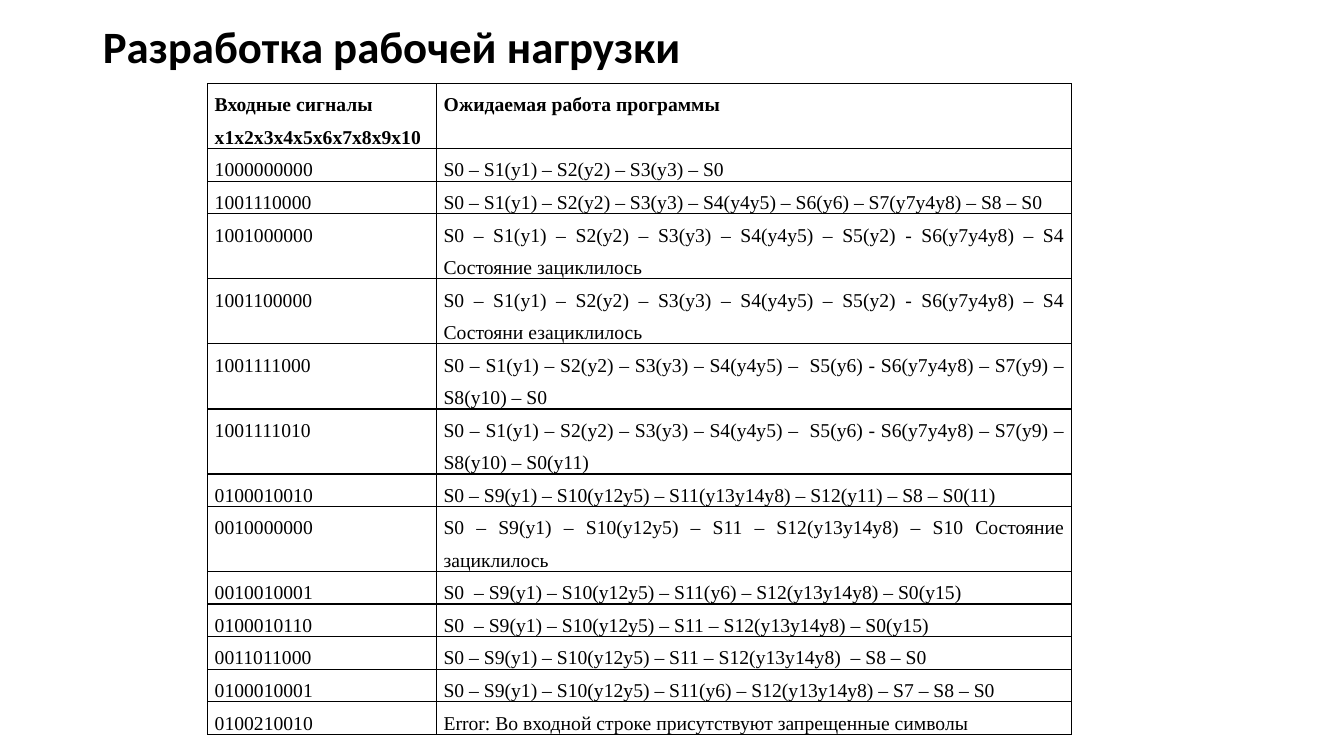
from dataclasses import dataclass

from lxml import etree
from pptx import Presentation
from pptx.dml.color import RGBColor
from pptx.enum.text import MSO_ANCHOR, PP_ALIGN
from pptx.oxml.ns import qn
from pptx.util import Inches, Pt

LEFT, JUSTIFY = PP_ALIGN.LEFT, PP_ALIGN.JUSTIFY
TOP, MIDDLE = MSO_ANCHOR.TOP, MSO_ANCHOR.MIDDLE


@dataclass(frozen=True)
class Theme:
    """Colours, fonts and type sizes of the slide."""
    ink: str = "000000"
    title_font: str = "Calibri"
    body_font: str = "Times New Roman"
    title_size: int = 32
    body_size: int = 14
    border_width: int = 1


THEME = Theme()
TITLE = "Разработка рабочей нагрузки"
COLUMN_WIDTHS = (2.27, 6.3)
LINE_HEIGHT = 0.31
HEADER = ("Входные сигналы\nx1x2x3x4x5x6x7x8x9x10", "Ожидаемая работа программы")
WORKLOAD = (
    (1, "1000000000", "S0 – S1(y1) – S2(y2) – S3(y3) – S0"),
    (1, "1001110000", "S0 – S1(y1) – S2(y2) – S3(y3) – S4(y4y5) – S6(y6) – S7(y7y4y8) – S8 – S0"),
    (2, "1001000000", "S0 – S1(y1) – S2(y2) – S3(y3) – S4(y4y5) – S5(y2) - S6(y7y4y8) – S4 "
                      "Состояние зациклилось"),
    (2, "1001100000", "S0 – S1(y1) – S2(y2) – S3(y3) – S4(y4y5) – S5(y2) - S6(y7y4y8) – S4 "
                      "Состояни езациклилось"),
    (2, "1001111000", "S0 – S1(y1) – S2(y2) – S3(y3) – S4(y4y5) –  S5(y6) - S6(y7y4y8) – S7(y9) – "
                      "S8(y10) – S0"),
    (2, "1001111010", "S0 – S1(y1) – S2(y2) – S3(y3) – S4(y4y5) –  S5(y6) - S6(y7y4y8) – S7(y9) – "
                      "S8(y10) – S0(y11)"),
    (1, "0100010010", "S0 – S9(y1) – S10(y12y5) – S11(y13y14y8) – S12(y11) – S8 – S0(11)"),
    (2, "0010000000", "S0 – S9(y1) – S10(y12y5) – S11 – S12(y13y14y8) – S10 Состояние зациклилось"),
    (1, "0010010001", "S0  – S9(y1) – S10(y12y5) – S11(y6) – S12(y13y14y8) – S0(y15)"),
    (1, "0100010110", "S0  – S9(y1) – S10(y12y5) – S11 – S12(y13y14y8) – S0(y15)"),
    (1, "0011011000", "S0 – S9(y1) – S10(y12y5) – S11 – S12(y13y14y8)  – S8 – S0"),
    (1, "0100010001", "S0 – S9(y1) – S10(y12y5) – S11(y6) – S12(y13y14y8) – S7 – S8 – S0"),
    (1, "0100210010", "Error: Во входной строке присутствуют запрещенные символы"),
)


def write_text(frame, text, *, font, size, bold=False, align=LEFT, spacing=1.0):
    """Fill a text frame, one paragraph a line, in the given format."""
    frame.text = text
    for paragraph in frame.paragraphs:
        paragraph.alignment = align
        paragraph.line_spacing = spacing
        for run in paragraph.runs:
            run.font.name = font
            run.font.size = Pt(size)
            run.font.bold = bold
            run.font.color.rgb = RGBColor.from_string(THEME.ink)


def add_borders(cell):
    """Draw a solid line on all four sides of a cell."""
    properties = cell._tc.get_or_add_tcPr()
    for position, side in enumerate(("lnL", "lnR", "lnT", "lnB")):
        line = etree.Element(qn(f"a:{side}"), w=str(Pt(THEME.border_width)))
        fill = etree.SubElement(line, qn("a:solidFill"))
        etree.SubElement(fill, qn("a:srgbClr"), val=THEME.ink)
        properties.insert(position, line)


def format_cell(cell, text, bold):
    """Write one bordered, unfilled cell of the workload table."""
    cell.margin_left = cell.margin_right = Inches(0.07)
    cell.margin_top = cell.margin_bottom = Inches(0)
    cell.vertical_anchor = TOP
    cell.fill.background()
    write_text(cell.text_frame, text, font=THEME.body_font, size=THEME.body_size,
               bold=bold, align=JUSTIFY, spacing=1.5)
    add_borders(cell)


def add_title(slide):
    """Place and format the slide title."""
    title = slide.shapes.title
    title.left, title.top = Inches(0.92), Inches(0)
    title.width, title.height = Inches(11.5), Inches(0.98)
    title.text_frame.vertical_anchor = MIDDLE
    write_text(title.text_frame, TITLE, font=THEME.title_font, size=THEME.title_size,
               bold=True, spacing=0.9)


def add_workload_table(slide):
    """Add the table of input signals and expected program runs."""
    rows = ((2, *HEADER), *WORKLOAD)
    table_frame = slide.shapes.add_table(
        len(rows), len(COLUMN_WIDTHS), Inches(2.06), Inches(0.83),
        Inches(sum(COLUMN_WIDTHS)), Inches(7))
    table = table_frame.table
    table.horz_banding = False
    for column, width in zip(table.columns, COLUMN_WIDTHS):
        column.width = Inches(width)
    for index, (line_count, *texts) in enumerate(rows):
        row = table.rows[index]
        row.height = Inches(line_count * LINE_HEIGHT)
        for cell, text in zip(row.cells, texts):
            format_cell(cell, text, bold=index == 0)
    table_frame.height = Inches(7)


def main():
    """Build and save the slide."""
    presentation = Presentation()
    presentation.slide_width = Inches(13.33)
    presentation.slide_height = Inches(7.5)
    slide = presentation.slides.add_slide(presentation.slide_layouts.get_by_name("Title Only"))
    add_title(slide)
    add_workload_table(slide)
    presentation.save("out.pptx")


if __name__ == "__main__":
    main()
